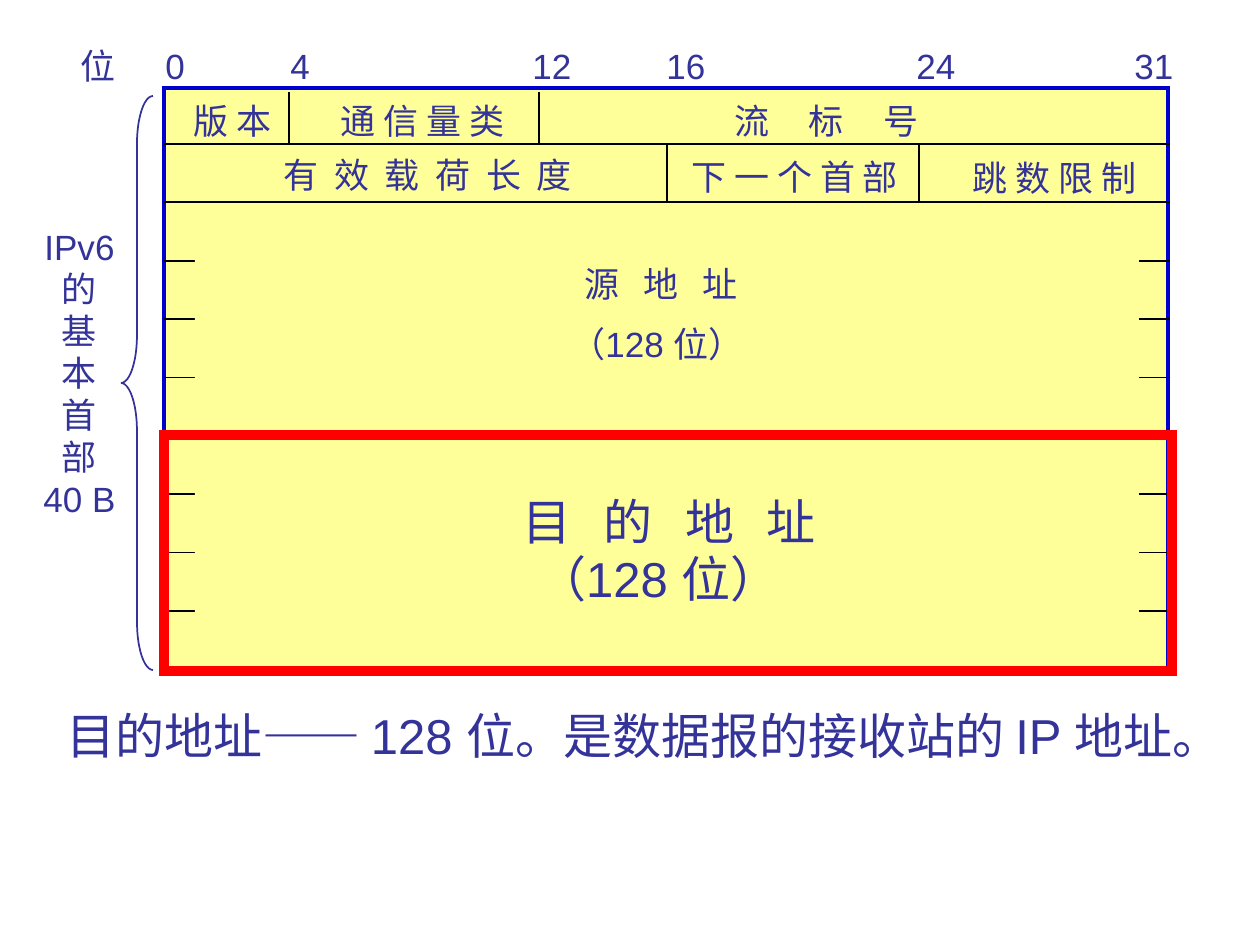
from lxml import etree
from pptx import Presentation, util as u
from pptx.dml.color import RGBColor
from pptx.enum import shapes, text
from pptx.oxml.ns import qn

SCALE = 914400 / 126
C = {"ink": "333399", "field": "FFFF99", "frame": "0000CC", "mark": "FF0000", "rule": "000000"}


def add_box(kind, rect, fill=None, line=None, width=1):
    sp = s.shapes.add_shape(kind, *[u.Emu(round(v * SCALE)) for v in rect])
    sp.shadow.inherit = False
    if fill:
        sp.fill.solid()
        sp.fill.fore_color.rgb = RGBColor.from_string(C[fill])
    else:
        sp.fill.background()
    if line:
        sp.line.color.rgb = RGBColor.from_string(C[line])
        sp.line.width = u.Pt(width)
        etree.SubElement(sp.line._get_or_add_ln(), qn("a:miter")).set("lim", "800000")
    else:
        sp.line.fill.background()
    return sp


def add_text(rect, lines, size=20, gap=0, align=text.PP_ALIGN.LEFT, wrap=False):
    tf = s.shapes.add_textbox(*[u.Emu(round(v * SCALE)) for v in rect]).text_frame
    tf.word_wrap = wrap
    for i, line in enumerate(lines):
        p = tf.add_paragraph() if i else tf.paragraphs[0]
        p.alignment = align
        p.font.size = u.Pt(size)
        p.font.name = "Arial"
        p.font.color.rgb = RGBColor.from_string(C["ink"])
        r = p.add_run()
        r.text = line
        if gap:
            r._r.get_or_add_rPr().set("spc", str(gap))
    return tf


prs = Presentation()
prs.slide_width, prs.slide_height = u.Inches(10), u.Inches(7.5)
s = prs.slides.add_slide(prs.slide_layouts[6])
RECT = shapes.MSO_SHAPE.RECTANGLE

add_box(RECT, (164, 88, 1004, 580), "field", "frame", 2.25)

rows = [144 + 467 * i / 8 for i in range(9)]
rules = [(164, y, 1170, y) for y in rows]
rules += [(x, 92, x, 144) for x in (289, 539)]
rules += [(x, 144, x, 203) for x in (667, 919)]
for ends in rules:
    ln = s.shapes.add_connector(shapes.MSO_CONNECTOR.STRAIGHT, *[u.Emu(round(v * SCALE)) for v in ends])
    ln.line.color.rgb = RGBColor.from_string(C["rule"])
    ln.line.width = u.Pt(1)
    etree.SubElement(ln._element.spPr, qn("a:effectLst"))

for y in (241, 475):
    add_box(RECT, (195, y, 944, 156), "field")

for x, w, bit in [(68, 60, "位"), (153, 44, "0"), (278, 44, "4"), (520, 64, "12"),
                  (654, 64, "16"), (904, 64, "24"), (1122, 64, "31")]:
    add_text((x, 38, w, 54), [bit])

for x, y, w, name, size, gap in [
    (181, 93, 103, "版 本", 20, 0),
    (328, 93, 189, "通 信 量 类", 20, 0),
    (722, 93, 260, "流 标 号", 20, 900),
    (271, 147, 360, "有 效 载 荷 长 度", 20, 224),
    (679, 149, 232, "下 一 个 首 部", 20, 0),
    (960, 150, 189, "跳 数 限 制", 20, 0),
    (572, 256, 230, "源 地 址", 20, 456),
    (558, 316, 215, "（128 位）", 20, 0),
    (510, 485, 380, "目 的 地 址", 28, 622),
    (525, 542, 291, "（128 位）", 28, 0),
]:
    add_text((x, y, w, 54 if size == 20 else 71), [name], size, gap, wrap=gap > 0)

brace = add_box(shapes.MSO_SHAPE.LEFT_BRACE, (121, 96, 32, 574), line="ink")
brace.adjustments[0] = 1.5
add_text((31, 219, 97, 348), ["IPv6", "的", "基", "本", "首", "部", "40 B"], align=text.PP_ALIGN.CENTER)

add_box(RECT, (164, 435, 1008, 236), line="mark", width=6)
tf = add_text((54, 696, 1160, 136), ["目的地址—— 128 位。是数据报的接收站的 IP 地址。"], 28, wrap=True)
tf.paragraphs[0].line_spacing = 1.05

prs.save("out.pptx")
